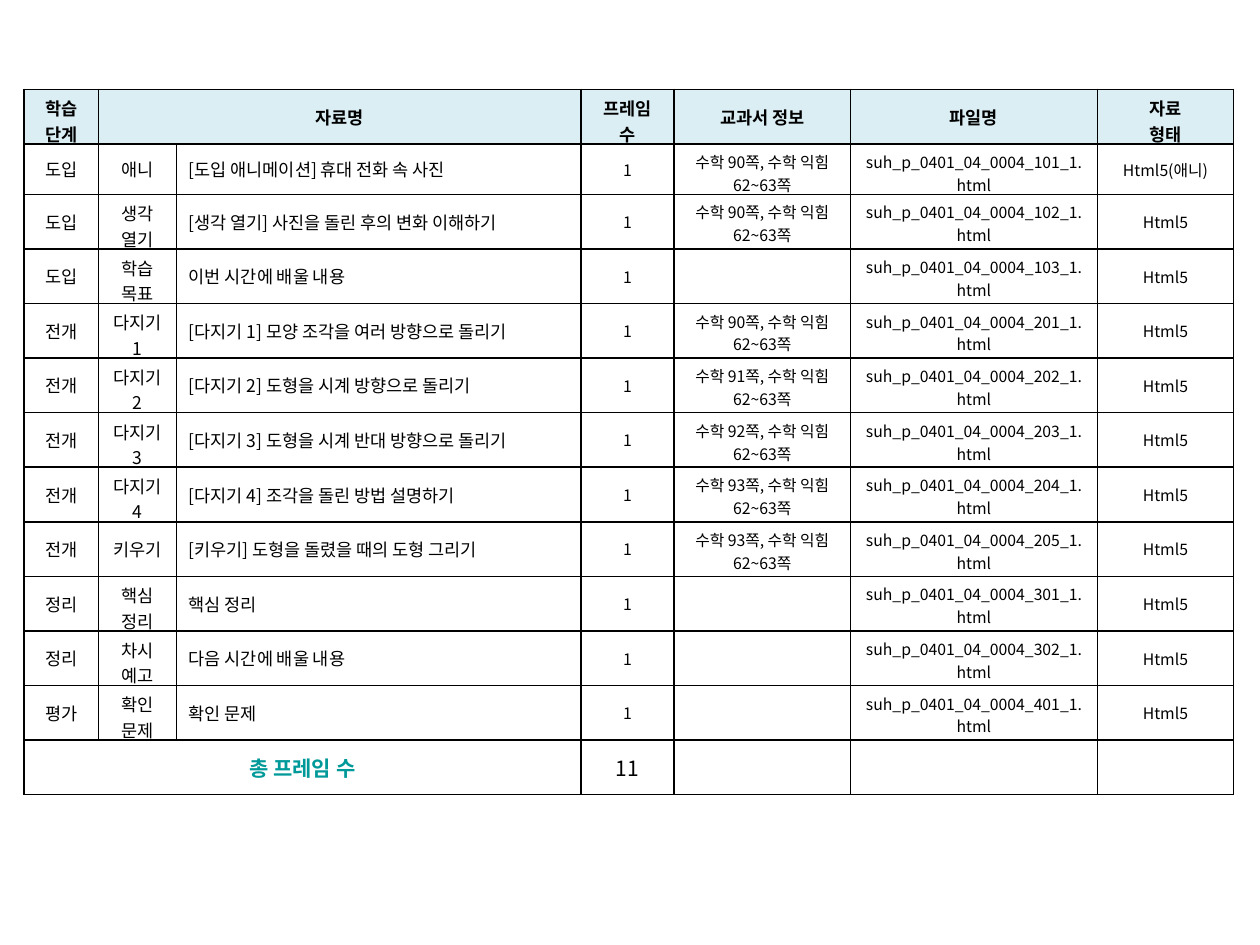
import pptx
import pptx.dml.color
import pptx.enum.text
import pptx.util
from lxml import etree
from pptx.oxml.ns import qn

FONT = "Noto Sans CJK KR"
INK, TEAL, PALE_BLUE = "000000", "009999", "DBEEF4"

# Content: stage, step, material, textbook page, file number, format
HEADINGS = ["학습 단계", "자료명", "", "프레임 수", "교과서 정보", "파일명", "자료\n형태"]
LESSON = [
    ("도입", "애니", "[도입 애니메이션] 휴대 전화 속 사진", 90, 101, "Html5(애니)"),
    ("도입", "생각 열기", "[생각 열기] 사진을 돌린 후의 변화 이해하기", 90, 102, "Html5"),
    ("도입", "학습 목표", "이번 시간에 배울 내용", None, 103, "Html5"),
    ("전개", "다지기1", "[다지기 1] 모양 조각을 여러 방향으로 돌리기", 90, 201, "Html5"),
    ("전개", "다지기 2", "[다지기 2] 도형을 시계 방향으로 돌리기", 91, 202, "Html5"),
    ("전개", "다지기 3", "[다지기 3] 도형을 시계 반대 방향으로 돌리기", 92, 203, "Html5"),
    ("전개", "다지기 4", "[다지기 4] 조각을 돌린 방법 설명하기", 93, 204, "Html5"),
    ("전개", "키우기", "[키우기] 도형을 돌렸을 때의 도형 그리기", 93, 205, "Html5"),
    ("정리", "핵심 정리", "핵심 정리", None, 301, "Html5"),
    ("정리", "차시 예고", "다음 시간에 배울 내용", None, 302, "Html5"),
    ("평가", "확인 문제", "확인 문제", None, 401, "Html5"),
]
TOTALS = ["총 프레임 수", "", "", str(len(LESSON)), "", "", ""]

# Grid, in inches
LEFT, TOP, HEIGHT = 0.19, 0.71, 5.6
COLUMNS = [0.59, 0.62, 3.21, 0.74, 1.4, 1.96, 1.08]
FIRST_LESSON_ROW = 0.4
TIGHT_BOTTOM = -0.03  # lets two lines fit in a low row
STAGE, STEP, MATERIAL, FRAMES, TEXTBOOK, FILE_NAME, FORMAT = range(len(COLUMNS))


def color(value):
    return pptx.dml.color.RGBColor.from_string(value)


def lesson_row(stage, step, material, page, number, file_format):
    textbook = f"수학 {page}쪽, 수학 익힘 62~63쪽" if page else ""
    file_name = f"suh_p_0401_04_0004_{number}_1.html"
    return [stage, step, material, "1", textbook, file_name, file_format]


def add_borders(cell):
    properties = cell._tc.get_or_add_tcPr()
    for side in ("lnL", "lnR", "lnT", "lnB"):
        line = etree.SubElement(properties, qn(f"a:{side}"), w=str(pptx.util.Pt(1)))
        fill = etree.SubElement(line, qn("a:solidFill"))
        etree.SubElement(fill, qn("a:srgbClr"), val=INK)


def fill_cell(cell, text, size, bold=False, ink=INK, background=None,
              centered=True, two_lines=False):
    add_borders(cell)
    if background:
        cell.fill.solid()
        cell.fill.fore_color.rgb = color(background)
    else:
        cell.fill.background()
    anchor = pptx.enum.text.MSO_ANCHOR
    cell.vertical_anchor = anchor.TOP if two_lines else anchor.MIDDLE
    if two_lines:
        cell.margin_bottom = pptx.util.Inches(TIGHT_BOTTOM)
    cell.text_frame.text = text
    align = pptx.enum.text.PP_ALIGN
    for paragraph in cell.text_frame.paragraphs:
        paragraph.alignment = align.CENTER if centered else align.LEFT
        font = paragraph.font
        font.name, font.size, font.bold = FONT, pptx.util.Pt(size), bold
        font.color.rgb = color(ink)
        # East Asian typeface for the Korean text
        etree.SubElement(font._element, qn("a:ea"), typeface=FONT)


def main():
    deck = pptx.Presentation()
    deck.slide_width, deck.slide_height = pptx.util.Inches(10), pptx.util.Inches(7.5)
    slide = deck.slides.add_slide(deck.slide_layouts[6])

    rows = [HEADINGS] + [lesson_row(*entry) for entry in LESSON] + [TOTALS]
    last = len(rows) - 1
    table = slide.shapes.add_table(
        len(rows), len(COLUMNS),
        *map(pptx.util.Inches, (LEFT, TOP, sum(COLUMNS), HEIGHT))).table
    table.first_row = table.horz_banding = False

    # Column widths and row heights
    for column, width in zip(table.columns, COLUMNS):
        column.width = pptx.util.Inches(width)
    row_height = (HEIGHT - FIRST_LESSON_ROW) / last
    for index, row in enumerate(table.rows):
        row.height = pptx.util.Inches(FIRST_LESSON_ROW if index == 1 else row_height)

    # Heading, lessons and totals
    for r, texts in enumerate(rows):
        for c, text in enumerate(texts):
            if r == 0:
                style = dict(size=10, bold=True, background=PALE_BLUE,
                             two_lines=c in (STAGE, FRAMES, FORMAT))
            elif r == last:
                style = dict(size=12, bold=c == 0, ink=TEAL if c == 0 else INK)
            else:
                long_step = c == STEP and len(text) > 3
                style = dict(size=10 if c <= MATERIAL else 9, centered=c != MATERIAL,
                             two_lines=long_step or c in (TEXTBOOK, FILE_NAME))
            fill_cell(table.cell(r, c), text, **style)
    table.cell(0, 1).merge(table.cell(0, 2))
    table.cell(last, 0).merge(table.cell(last, 2))

    deck.save("out.pptx")


if __name__ == "__main__":
    main()
